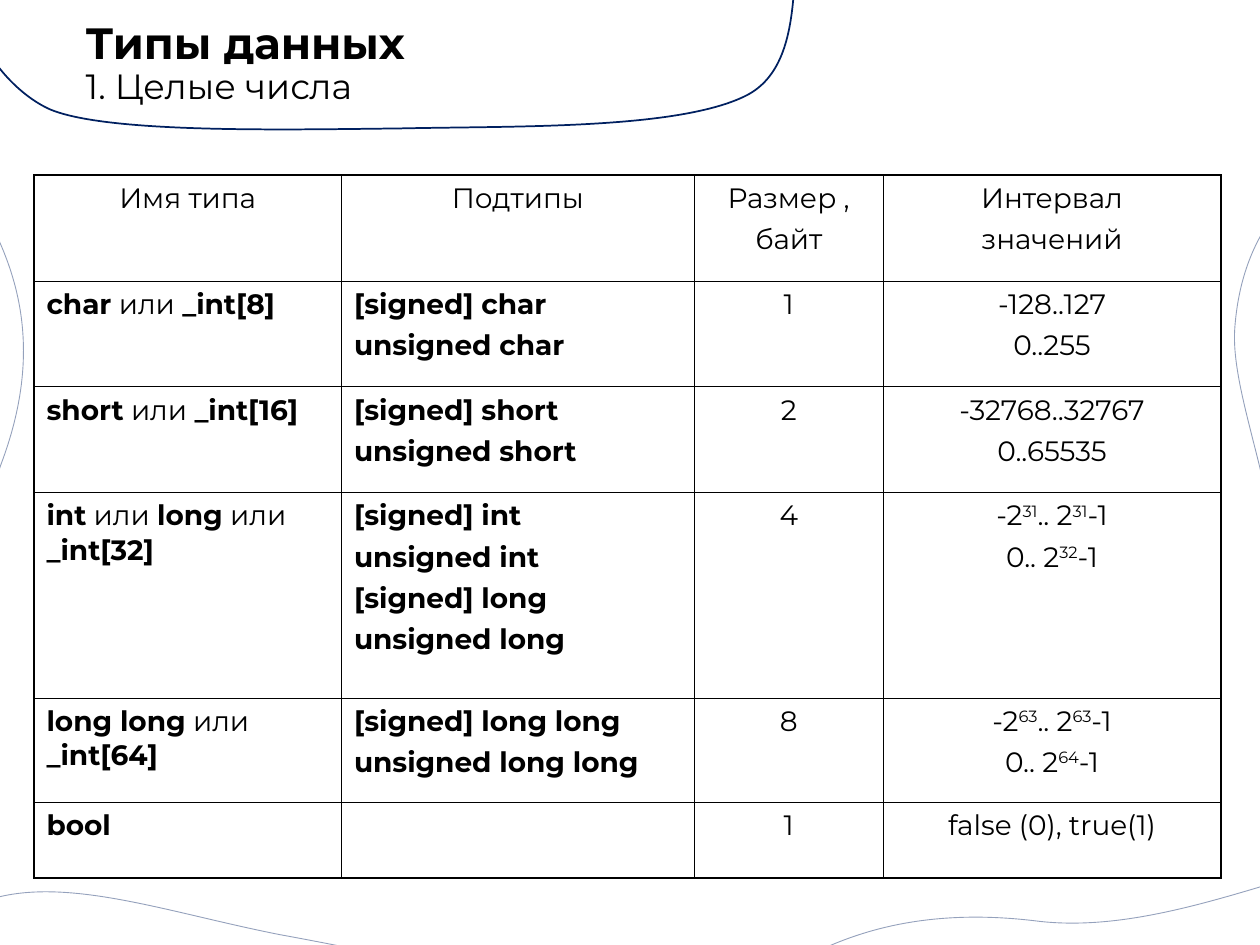
import pptx
import pptx.dml.color
import pptx.enum.text
import pptx.oxml
import pptx.oxml.ns
import pptx.util
from dataclasses import dataclass
from pptx.util import Inches


@dataclass(frozen=True)
class Theme:
    font: str = "Montserrat"
    ink: str = "000000"
    navy: str = "002060"
    title: int = 25
    subtitle: int = 20
    body: int = 16
    frame_line: float = 1.08
    grid_line: float = 0.45


THEME = Theme()
ALIGN = pptx.enum.text.PP_ALIGN

COLUMNS = [2.44, 2.8, 1.5, 2.68]
ROWS = [0.84, 0.84, 0.84, 1.63, 0.83, 0.6]
HEADER = [["Имя типа"], ["Подтипы"], ["Размер ,", "байт"], ["Интервал", "значений"]]
# Text between bars is bold in the first two columns and raised in the last one
TYPES = [
    [["|char| или |_int[8]|"], ["|[signed] char|", "|unsigned char|"],
     ["1"], ["-128..127", "0..255"]],
    [["|short| или |_int[16]|"], ["|[signed] short|", "|unsigned short|"],
     ["2"], ["-32768..32767", "0..65535"]],
    [["|int| или |long| или |_int[32]|"],
     ["|[signed] int|", "|unsigned int|", "|[signed] long|", "|unsigned long|"],
     ["4"], ["-2|31|.. 2|31|-1", "0.. 2|32|-1"]],
    [["|long long| или |_int[64]|"], ["|[signed] long long|", "|unsigned long long|"],
     ["8"], ["-2|63|.. 2|63|-1", "0.. 2|64|-1"]],
    [["|bool|"], [], ["1"], ["false (0), true(1)"]],
]

# Each curve: a start point, then two control points and an end point per segment
LEFT_WAVE = [
    (-0.93, 1.61),
    (-1.17, 1.98), (-1.64, 5.87), (-1.83, 6.91),
    (-2.02, 7.95), (-1.1, 7.25), (-0.8, 7.11),
    (-0.51, 6.97), (-0.21, 6.66), (-0.08, 6.08),
    (0.06, 5.51), (-0.28, 4.47), (0.01, 3.68),
    (0.31, 2.88), (0.18, 2.31), (-0.03, 1.86),
    (-0.24, 1.4), (-1.17, 1.16), (-1.25, 0.94)]
TITLE_WAVE = [
    (5.81, -0.17),
    (5.4, -0.34), (1.48, -0.16), (0.43, -0.18),
    (-0.63, -0.2), (-0.06, 0.67), (0.4, 0.87),
    (0.86, 1.06), (2.25, 1.03), (3.17, 1.02),
    (4.09, 1), (5.38, 1.03), (5.92, 0.76),
    (6.46, 0.49), (6.21, -0.47), (6.41, -0.6)]
RIGHT_WAVE = [
    (11.38, 6.89),
    (11.56, 6.48), (11.38, 2.57), (11.4, 1.51),
    (11.41, 0.45), (10.62, 1.3), (10.35, 1.48),
    (10.09, 1.66), (9.84, 2.03), (9.8, 2.61),
    (9.76, 3.2), (10.27, 4.17), (10.11, 5),
    (9.96, 5.83), (10.17, 6.38), (10.45, 6.79),
    (10.74, 7.21), (11.69, 7.29), (11.81, 7.49)]
BOTTOM_LEFT_WAVE = [
    (5.21, 8.11),
    (4.65, 7.91), (3.11, 7.58), (2.23, 7.42),
    (1.36, 7.25), (0.56, 6.96), (-0.05, 7.13),
    (-0.65, 7.3), (-1.11, 8.37), (-1.39, 8.43)]
BOTTOM_RIGHT_WAVE = [
    (5.93, 8.99),
    (6.46, 9.17), (11.39, 8.68), (12.73, 8.63),
    (14.06, 8.57), (12.95, 7.66), (12.7, 7.35),
    (12.45, 7.04), (11.97, 6.77), (11.23, 6.77),
    (10.48, 6.76), (9.29, 7.44), (8.23, 7.31),
    (7.17, 7.18), (6.5, 7.48), (5.99, 7.85),
    (5.49, 8.23), (5.44, 9.39), (5.2, 9.55)]


def color(value):
    return pptx.dml.color.RGBColor.from_string(value)


def style(span, size, bold=False):
    span.font.name = THEME.font
    span.font.size = pptx.util.Pt(size)
    span.font.bold = bold
    span.font.color.rgb = color(THEME.ink)


def add_wave(page, points, width, opacity=100):
    """Draw an open curve through the points."""
    corners = [(Inches(x), Inches(y)) for x, y in points]
    builder = page.shapes.build_freeform(*corners[0])
    builder.add_line_segments(corners[1:], close=False)
    wave = builder.convert_to_shape()
    wave.shadow.inherit = False
    wave.fill.background()
    wave.line.color.rgb = color(THEME.navy)
    wave.line.width = pptx.util.Pt(width)
    qn = pptx.oxml.ns.qn

    # Turn every three straight steps into one Bezier segment
    steps = list(wave._element.iter(qn("a:lnTo")))
    for first in range(0, len(steps), 3):
        head, *rest = steps[first:first + 3]
        curve = head.makeelement(qn("a:cubicBezTo"))
        head.addprevious(curve)
        for step in (head, *rest):
            curve.append(step[0])
            step.getparent().remove(step)

    if opacity < 100:
        stroke = next(wave.line._ln.iter(qn("a:srgbClr")))
        alpha = stroke.makeelement(qn("a:alpha"), {"val": str(opacity * 1000)})
        stroke.append(alpha)


def add_heading(page, left, top, width, height):
    box = page.shapes.add_textbox(Inches(left), Inches(top), Inches(width), Inches(height))
    frame = box.text_frame
    frame.word_wrap = True
    frame.vertical_anchor = pptx.enum.text.MSO_ANCHOR.MIDDLE
    frame.margin_left = Inches(0.18)
    frame.text = "Типы данных\n1. Целые числа"
    sizes = [(THEME.title, True), (THEME.subtitle, False)]
    for para, (size, bold) in zip(frame.paragraphs, sizes):
        para.line_spacing = 0.9
        style(para.runs[0], size, bold)


def set_borders(cell, outer):
    """Line all four sides; the sides named in outer get the frame width."""
    properties = cell._tc.get_or_add_tcPr()
    for side in "LRTB":
        width = pptx.util.Pt(THEME.frame_line if side in outer else THEME.grid_line)
        properties.append(pptx.oxml.parse_xml(
            f'<a:ln{side} {pptx.oxml.ns.nsdecls("a")} w="{int(width)}"><a:solidFill>'
            f'<a:srgbClr val="{THEME.ink}"/></a:solidFill></a:ln{side}>'))


def fill_cell(cell, lines, align, raised):
    cell.text_frame.text = "\n".join(line.replace("|", "") for line in lines)
    for index, (para, line) in enumerate(zip(cell.text_frame.paragraphs, lines)):
        para.text = ""
        para.alignment = align
        if index:
            para.space_before = pptx.util.Pt(4)
        for part, text in enumerate(line.split("|")):
            if not text:
                continue
            marked = part % 2 == 1
            span = para.add_run()
            span.text = text
            style(span, THEME.body, marked and not raised)
            if marked and raised:
                span._r.get_or_add_rPr().set("baseline", "30000")


def add_type_table(page, left, top):
    table = page.shapes.add_table(
        len(ROWS), len(COLUMNS), Inches(left), Inches(top),
        Inches(sum(COLUMNS)), Inches(sum(ROWS))).table
    table.first_row = table.horz_banding = False
    for column, width in zip(table.columns, COLUMNS):
        column.width = Inches(width)
    last_row, last_column = len(ROWS) - 1, len(COLUMNS) - 1
    for r, content in enumerate([HEADER] + TYPES):
        table.rows[r].height = Inches(ROWS[r])
        for c, lines in enumerate(content):
            cell = table.cell(r, c)
            centred = r == 0 or c >= 2
            fill_cell(cell, lines, ALIGN.CENTER if centred else ALIGN.LEFT, c == last_column)
            edges = {"L": c == 0, "R": c == last_column, "T": r == 0, "B": r == last_row}
            set_borders(cell, [side for side, outer in edges.items() if outer])
            cell.fill.background()


def main():
    deck = pptx.Presentation()
    deck.slide_width, deck.slide_height = Inches(10), Inches(7.5)
    page = deck.slides.add_slide(deck.slide_layouts[6])

    # Decorative waves
    add_wave(page, TITLE_WAVE, 1)
    for points in (LEFT_WAVE, RIGHT_WAVE, BOTTOM_LEFT_WAVE, BOTTOM_RIGHT_WAVE):
        add_wave(page, points, 0.5, opacity=42)

    # Heading and table of integer types
    add_heading(page, 0.5, 0.19, 9, 0.64)
    add_type_table(page, 0.27, 1.39)
    deck.save("out.pptx")


if __name__ == "__main__":
    main()
